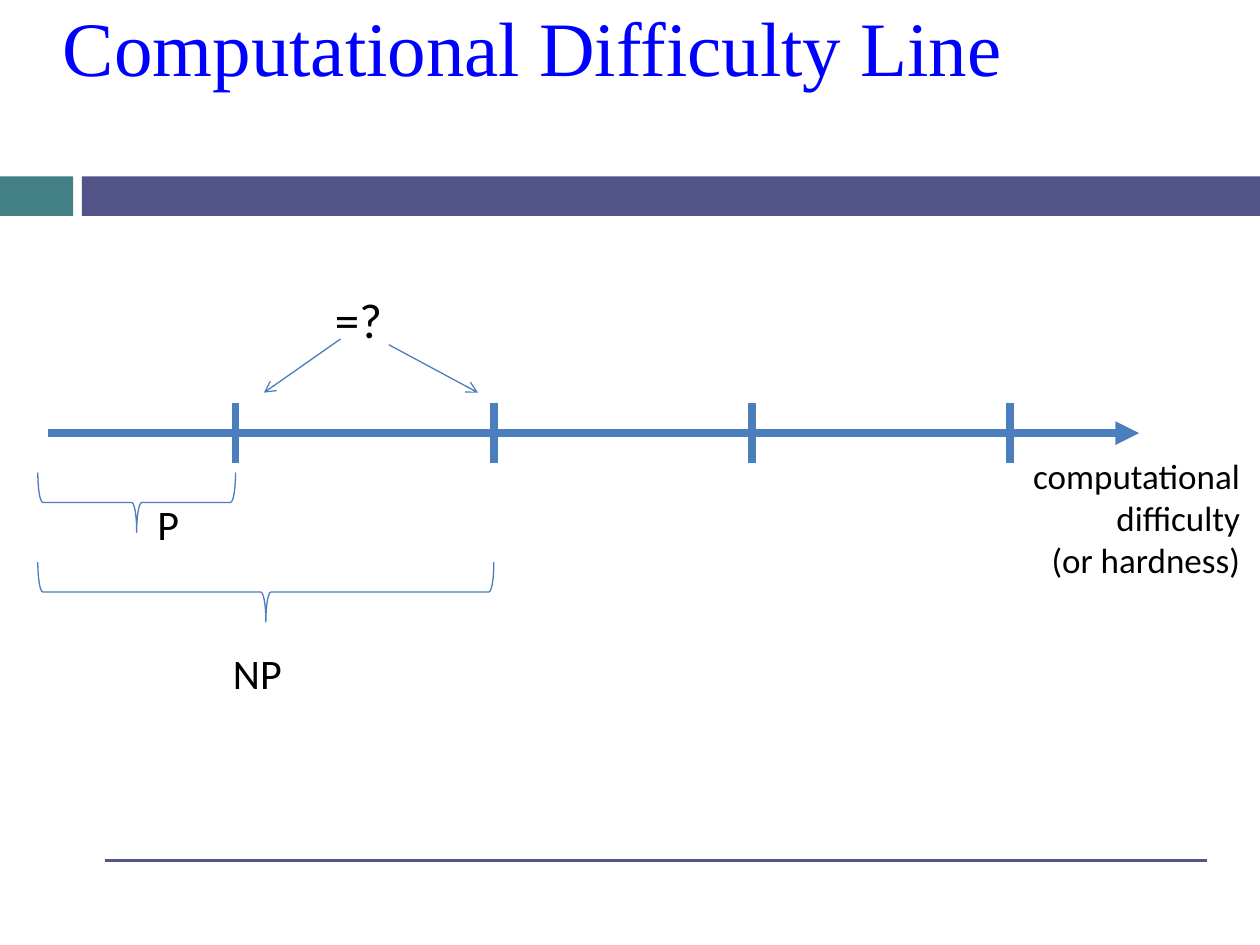
"""Build a slide that places P and NP on a line of computational difficulty."""
from lxml.etree import SubElement
from pptx import Presentation
from pptx.dml.color import RGBColor
from pptx.enum.shapes import MSO_CONNECTOR, MSO_SHAPE
from pptx.enum.text import MSO_ANCHOR, PP_ALIGN
from pptx.oxml.ns import qn
from pptx.util import Pt

COLORS = {"teal": "438086", "indigo": "53548A", "title": "0000FF",
          "diagram": "4B7EBC", "text": "000000"}
TITLE = "Computational Difficulty Line"
LABELS = [
    ("P", (82.8, 281.5, 29.5, 36), 24, PP_ALIGN.LEFT),
    ("computational\ndifficulty\n(or hardness)", (571, 256.3, 144.7, 80), 20, PP_ALIGN.RIGHT),
    ("NP", (126, 366.5, 49.7, 36), 24, PP_ALIGN.LEFT),
    ("=?", (184.3, 162, 41.8, 41), 28, PP_ALIGN.LEFT),
]
BANDS = [("teal", 0, 41.8), ("indigo", 46.8, 673.2)]
BAND_TOP, BAND_HEIGHT = 100.8, 22.6
AXIS_START, AXIS_END, AXIS_Y = 27.4, 650.9, 247.5
TICKS = [134.6 + 147.6 * index for index in range(4)]
TICK_HALF = 17
BRACE_LEFT, BRACE_DEPTH = 21.6, 34.2
BRACES = [(TICKS[0], 270), (TICKS[1], 321.2)]
POINTERS = [((194.6, 193.7), (150.8, 224.4)), ((222.2, 197), (273.2, 224.4))]


def color(name):
    return RGBColor.from_string(COLORS[name])


def add_text(slide, text, box, size, font="Calibri", fill="text",
             align=PP_ALIGN.LEFT, wrap=False, inset=(7.2, 3.6)):
    frame = slide.shapes.add_textbox(*map(Pt, box)).text_frame
    frame.word_wrap = wrap
    frame.vertical_anchor = MSO_ANCHOR.TOP
    frame.margin_left = frame.margin_right = Pt(inset[0])
    frame.margin_top = frame.margin_bottom = Pt(inset[1])
    frame.text = text
    for paragraph in frame.paragraphs:
        paragraph.alignment = align
        paragraph.font.name = font
        paragraph.font.size = Pt(size)
        paragraph.font.color.rgb = color(fill)


def add_line(slide, start, end, width, line="diagram", head=None):
    connector = slide.shapes.add_connector(
        MSO_CONNECTOR.STRAIGHT, *map(Pt, (*start, *end)))
    connector.line.color.rgb = color(line)
    connector.line.width = Pt(width)
    properties = connector.line._get_or_add_ln()
    if head:
        SubElement(properties, qn("a:tailEnd"), type=head)
    SubElement(properties.getparent(), qn("a:effectLst"))


def add_band(slide, fill, left, width):
    shape = slide.shapes.add_shape(
        MSO_SHAPE.RECTANGLE, *map(Pt, (left, BAND_TOP, width, BAND_HEIGHT)))
    shape.shadow.inherit = False
    shape.fill.solid()
    shape.fill.fore_color.rgb = color(fill)
    shape.line.fill.background()


def add_brace(slide, right, top):
    span = right - BRACE_LEFT
    left = BRACE_LEFT + (span - BRACE_DEPTH) / 2
    upright_top = top + (BRACE_DEPTH - span) / 2
    shape = slide.shapes.add_shape(
        MSO_SHAPE.RIGHT_BRACE, *map(Pt, (left, upright_top, BRACE_DEPTH, span)))
    shape.rotation = 90
    shape.shadow.inherit = False
    shape.fill.background()
    shape.line.color.rgb = color("diagram")
    shape.line.width = Pt(0.75)


def main():
    presentation = Presentation()
    presentation.slide_width, presentation.slide_height = Pt(720), Pt(540)
    slide = presentation.slides.add_slide(presentation.slide_layouts[6])
    for band in BANDS:
        add_band(slide, *band)
    add_line(slide, (59.8, 491.8), (690, 491.8), 1.5, line="indigo")
    add_text(slide, TITLE, (36, 0, 648, 100), 44, font="Times New Roman",
             fill="title", wrap=True, inset=(0, 0))
    add_line(slide, (AXIS_START, AXIS_Y), (AXIS_END, AXIS_Y), 4.5, head="triangle")
    for tick in TICKS:
        add_line(slide, (tick, AXIS_Y - TICK_HALF), (tick, AXIS_Y + TICK_HALF), 4.5)
    for brace in BRACES:
        add_brace(slide, *brace)
    for text, box, size, align in LABELS:
        add_text(slide, text, box, size, align=align)
    for start, end in POINTERS:
        add_line(slide, start, end, 0.75, head="arrow")
    presentation.save("out.pptx")


if __name__ == "__main__":
    main()
